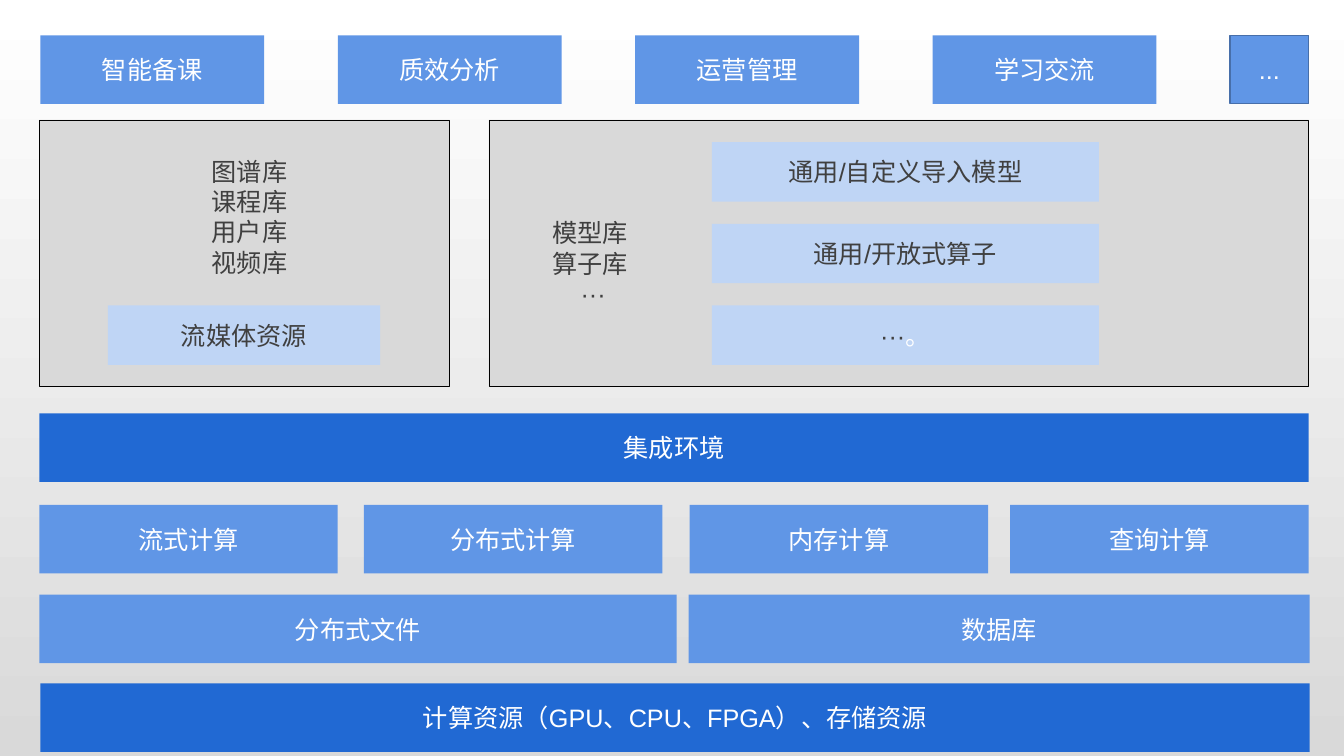
from dataclasses import dataclass

from pptx import Presentation
from pptx.dml.color import RGBColor
from pptx.enum.shapes import MSO_SHAPE as Shape
from pptx.enum.text import MSO_ANCHOR as Anchor, MSO_AUTO_SIZE as AutoSize, PP_ALIGN as Align
from pptx.util import Inches, Pt


@dataclass(frozen=True)
class Theme:
    font: str = "Arial"
    size: int = 18
    white: str = "FFFFFF"
    ink: str = "404040"
    gray: str = "D9D9D9"
    black: str = "000000"
    deep: str = "2169D3"
    blue: str = "6096E6"
    pale: str = "BFD5F5"
    edge: str = "476FAA"


class Board:
    """Draws on one slide; lengths are counted in columns and rows of the grid."""
    COLUMNS, ROWS = 133.3, 75

    def __init__(self, deck, theme):
        self.theme = theme
        self.slide = deck.slides.add_slide(deck.slide_layouts[6])
        self.column = deck.slide_width / self.COLUMNS
        self.row = deck.slide_height / self.ROWS

    def place(self, left, top, width, height):
        return (round(left * self.column), round(top * self.row),
                round(width * self.column), round(height * self.row))

    def backdrop(self, top_color, bottom_color):
        fill = self.slide.background.fill
        fill.gradient()
        fill.gradient_angle = 270
        for stop, position, color in zip(fill.gradient_stops, (0, 1), (top_color, bottom_color)):
            stop.position = position
            stop.color.rgb = RGBColor.from_string(color)

    def set_text(self, frame, text, color, align):
        frame.word_wrap = True
        frame.text = text
        for paragraph in frame.paragraphs:
            paragraph.alignment = align
            for run in paragraph.runs:
                self.style(run, color)

    def style(self, run, color):
        run.font.name = self.theme.font
        run.font.size = Pt(self.theme.size)
        run.font.color.rgb = RGBColor.from_string(color)

    def block(self, area, fill, text="", color=None, edge=None, edge_width=1):
        rect = self.slide.shapes.add_shape(Shape.RECTANGLE, *self.place(*area))
        rect.shadow.inherit = False
        rect.fill.solid()
        rect.fill.fore_color.rgb = RGBColor.from_string(fill)
        if edge:
            rect.line.color.rgb = RGBColor.from_string(edge)
            rect.line.width = Pt(edge_width)
        else:
            rect.line.fill.background()
        if text:
            rect.text_frame.vertical_anchor = Anchor.MIDDLE
            self.set_text(rect.text_frame, text, color or self.theme.white, Align.CENTER)
        return rect

    def lines(self, area, names, align):
        box = self.slide.shapes.add_textbox(*self.place(*area))
        self.set_text(box.text_frame, "\n".join(names), self.theme.ink, align)
        box.text_frame.auto_size = AutoSize.SHAPE_TO_FIT_TEXT
        return box.text_frame.paragraphs


def main():
    deck = Presentation()
    deck.slide_width, deck.slide_height = Inches(13.33), Inches(7.5)
    theme = Theme()
    board = Board(deck, theme)
    board.backdrop(theme.white, theme.gray)

    margin, full_width, bar_height = 3.9, 125.9, 6.8

    # Applications
    app_step = 29.5
    for index, app in enumerate(("智能备课", "质效分析", "运营管理", "学习交流")):
        board.block((4 + index * app_step, 3.5, 22.2, bar_height), theme.blue, app)
    board.block((4 + 4 * app_step, 3.5, 7.8, bar_height), theme.blue, "...", edge=theme.edge)

    # Resource and model libraries
    for left, width in ((margin, 40.7), (48.5, 81.3)):
        board.block((left, 11.9, width, 26.4), theme.gray, edge=theme.black, edge_width=0.5)

    models_top, model_step, model_height = 14.1, 8.1, 5.9
    board.block((10.7, models_top + 2 * model_step, 27, model_height),
                theme.pale, "流媒体资源", theme.ink)
    for index, model in enumerate(("通用/自定义导入模型", "通用/开放式算子", "···")):
        more_models = board.block((70.6, models_top + index * model_step, 38.4, model_height),
                                  theme.pale, model, theme.ink)
    full_stop = more_models.text_frame.paragraphs[0].add_run()
    full_stop.text = "。"
    board.style(full_stop, theme.white)

    board.lines((12.9, 15, 23.7, 16.1), ("图谱库", "课程库", "用户库", "视频库"), Align.CENTER)
    libraries = board.lines((53.8, 21.1, 11.9, 10.1), ("模型库", "算子库", "···"), Align.LEFT)
    dots_format = libraries[-1]._p.get_or_add_pPr()
    dots_format.set("marL", str(Inches(0.28)))
    dots_format.set("indent", "0")

    # Platform layers
    board.block((margin, 41, full_width, bar_height), theme.deep, "集成环境")
    engines = ((margin, "流式计算"), (36.1, "分布式计算"), (68.4, "内存计算"), (100.2, "查询计算"))
    for left, engine in engines:
        board.block((left, 50.1, 29.6, bar_height), theme.blue, engine)
    for left, width, store in ((margin, 63.2, "分布式文件"), (68.3, 61.6, "数据库")):
        board.block((left, 59, width, bar_height), theme.blue, store)
    board.block((4, 67.8, full_width, bar_height), theme.deep,
                "计算资源（GPU、CPU、FPGA）、存储资源")

    deck.save("out.pptx")


if __name__ == "__main__":
    main()
